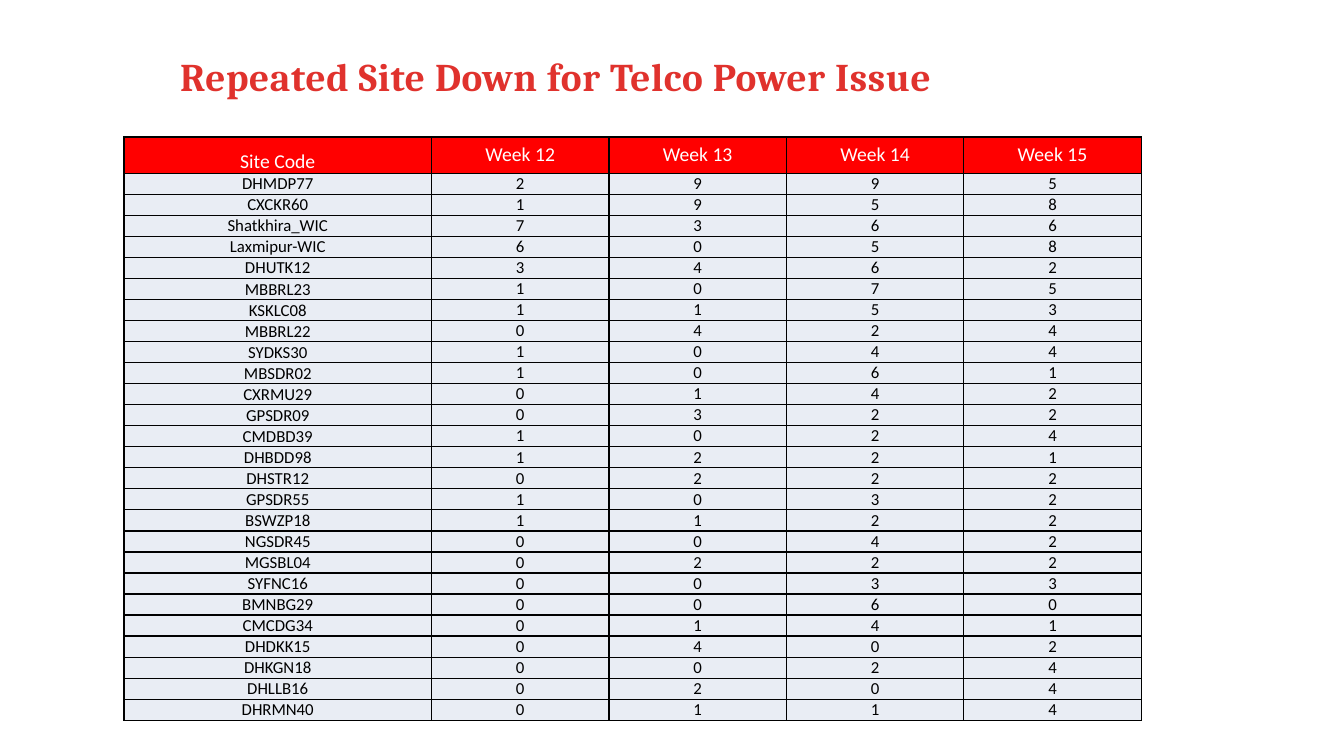
import pptx
import pptx.util
import pptx.dml.color
import pptx.enum.text
import pptx.oxml
import pptx.oxml.ns

Inches = pptx.util.Inches
Pt = pptx.util.Pt
RGBColor = pptx.dml.color.RGBColor
ANCHOR = pptx.enum.text.MSO_ANCHOR

TITLE_LIGHT = RGBColor(0xE0, 0x32, 0x2D)
TITLE_DARK = RGBColor(0xA2, 0x20, 0x1C)
HEADER_RED = RGBColor(0xFF, 0x00, 0x00)
ROW_GREY = RGBColor(0xE9, 0xED, 0xF4)
WHITE = RGBColor(0xFF, 0xFF, 0xFF)
BLACK = RGBColor(0x00, 0x00, 0x00)

HEADER = ("Site Code", "Week 12", "Week 13", "Week 14", "Week 15")
SITES = (
    ("DHMDP77", 2, 9, 9, 5),
    ("CXCKR60", 1, 9, 5, 8),
    ("Shatkhira_WIC", 7, 3, 6, 6),
    ("Laxmipur-WIC", 6, 0, 5, 8),
    ("DHUTK12", 3, 4, 6, 2),
    ("MBBRL23", 1, 0, 7, 5),
    ("KSKLC08", 1, 1, 5, 3),
    ("MBBRL22", 0, 4, 2, 4),
    ("SYDKS30", 1, 0, 4, 4),
    ("MBSDR02", 1, 0, 6, 1),
    ("CXRMU29", 0, 1, 4, 2),
    ("GPSDR09", 0, 3, 2, 2),
    ("CMDBD39", 1, 0, 2, 4),
    ("DHBDD98", 1, 2, 2, 1),
    ("DHSTR12", 0, 2, 2, 2),
    ("GPSDR55", 1, 0, 3, 2),
    ("BSWZP18", 1, 1, 2, 2),
    ("NGSDR45", 0, 0, 4, 2),
    ("MGSBL04", 0, 2, 2, 2),
    ("SYFNC16", 0, 0, 3, 3),
    ("BMNBG29", 0, 0, 6, 0),
    ("CMCDG34", 0, 1, 4, 1),
    ("DHDKK15", 0, 4, 0, 2),
    ("DHKGN18", 0, 0, 2, 4),
    ("DHLLB16", 0, 2, 0, 4),
    ("DHRMN40", 0, 1, 1, 4),
)


def write(tf, text, font="Calibri", size=12, color=BLACK, bold=False):
    p = tf.paragraphs[0]
    p.alignment = pptx.enum.text.PP_ALIGN.CENTER
    r = p.add_run()
    r.text = text
    r.font.name = font
    r.font.size = Pt(size)
    r.font.bold = bold
    r.font.color.rgb = color
    return r


class SlideBuilder:
    title_font = "Cambria"
    title_size = 28
    header_size = 14
    body_size = 12
    border_width = Pt(1)

    def __init__(self, s):
        self.s = s

    def title(self, text, left, top, width, height):
        sp = self.s.shapes.add_textbox(Inches(left), Inches(top), Inches(width), Inches(height))
        tf = sp.text_frame
        tf.word_wrap = True
        tf.auto_size = pptx.enum.text.MSO_AUTO_SIZE.SHAPE_TO_FIT_TEXT
        r = write(tf, text, self.title_font, self.title_size, TITLE_LIGHT, True)
        r.font._element.set("spc", "50")
        fill = r.font.fill
        fill.gradient()
        fill.gradient_angle = 270
        stops = ((0.25, TITLE_LIGHT), (1, TITLE_DARK))
        for stop, (position, color) in zip(fill.gradient_stops, stops):
            stop.position = position
            stop.color.rgb = color

    def table(self, rows, left, top, height, widths, header_height):
        frame = self.s.shapes.add_table(
            len(rows), len(widths), Inches(left), Inches(top), Inches(sum(widths)), Inches(height))
        table = frame.table
        table.first_row = table.horz_banding = False
        for column, width in zip(table.columns, widths):
            column.width = Inches(width)
        row_height = (height - header_height) / (len(rows) - 1)
        for i, values in enumerate(rows):
            table.rows[i].height = Inches(row_height if i else header_height)
            for j, value in enumerate(values):
                self.cell(table.cell(i, j), str(value), is_header=i == 0, is_site=j == 0)

    def cell(self, cell, text, is_header, is_site):
        cell.margin_left = cell.margin_right = Inches(0.01)
        cell.margin_top = cell.margin_bottom = 0
        cell.vertical_anchor = ANCHOR.BOTTOM if is_site else ANCHOR.MIDDLE
        write(cell.text_frame, text,
              size=self.header_size if is_header else self.body_size,
              color=WHITE if is_header else BLACK)
        self.borders(cell)
        cell.fill.solid()
        cell.fill.fore_color.rgb = HEADER_RED if is_header else ROW_GREY

    def borders(self, cell):
        tcPr = cell._tc.get_or_add_tcPr()
        for side in ("lnL", "lnR", "lnT", "lnB"):
            tcPr.append(pptx.oxml.parse_xml(
                f'<a:{side} {pptx.oxml.ns.nsdecls("a")} w="{self.border_width}">'
                f'<a:solidFill><a:srgbClr val="{BLACK}"/></a:solidFill></a:{side}>'))


def main():
    prs = pptx.Presentation()
    prs.slide_width = Inches(13.33)
    prs.slide_height = Inches(7.5)
    builder = SlideBuilder(prs.slides.add_slide(prs.slide_layouts[6]))
    builder.title("Repeated Site Down for Telco Power Issue", 1.5, 0.47, 8.03, 0.57)
    builder.table((HEADER, *SITES), 1.23, 1.36, 5.79, [3.05] + [1.76] * 4, 0.36)
    prs.save("out.pptx")


if __name__ == "__main__":
    main()
